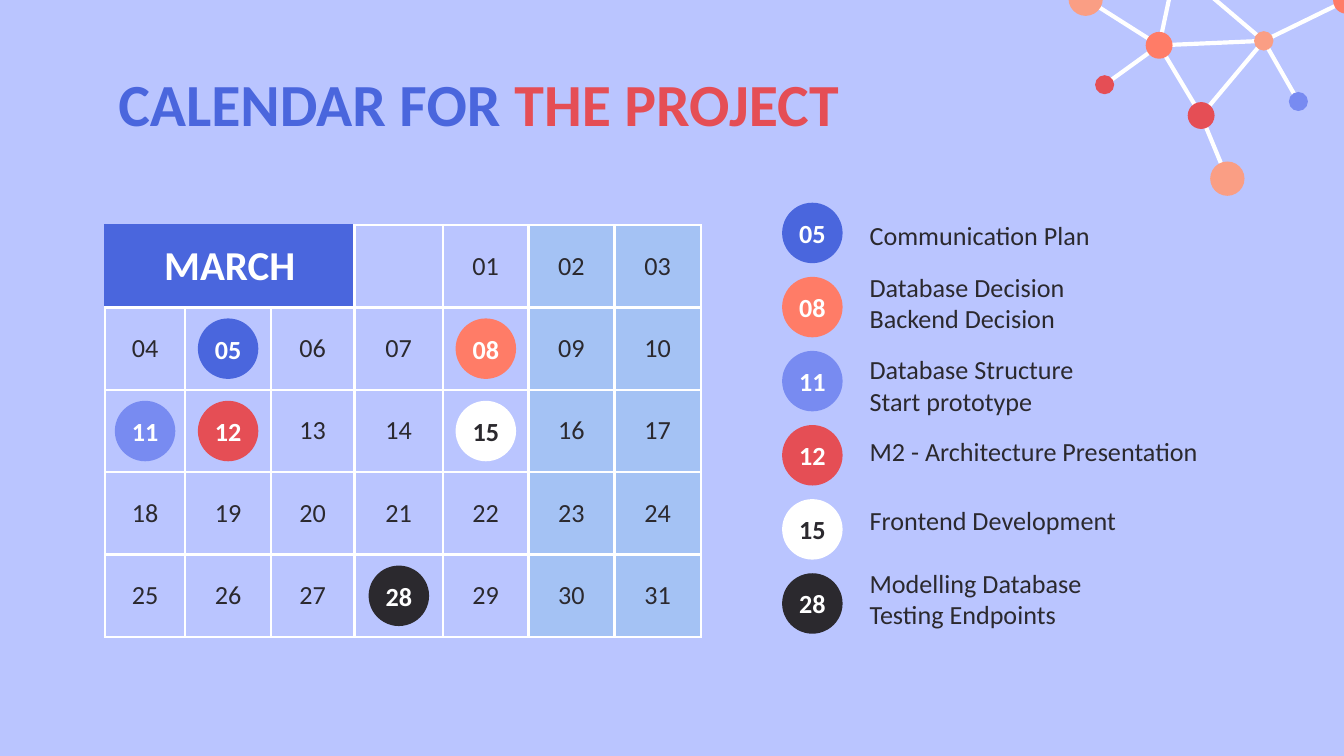
"""Build a March project calendar slide with a milestone legend."""
from itertools import accumulate

from lxml.etree import SubElement
from pptx import Presentation
from pptx.dml.color import RGBColor
from pptx.enum.shapes import MSO_CONNECTOR, MSO_SHAPE
from pptx.enum.text import MSO_ANCHOR, MSO_AUTO_SIZE, PP_ALIGN
from pptx.oxml.ns import qn
from pptx.util import Pt

FONT = "Calibri"
LAVENDER = RGBColor(0xBA, 0xC5, 0xFF)
BLUE = RGBColor(0x4A, 0x66, 0xDD)
PERIWINKLE = RGBColor(0x78, 0x8B, 0xF1)
SKY = RGBColor(0xA4, 0xC2, 0xF4)
RED = RGBColor(0xE5, 0x4E, 0x55)
CORAL = RGBColor(0xFF, 0x7C, 0x67)
PEACH = RGBColor(0xFA, 0x9E, 0x84)
INK = RGBColor(0x2B, 0x29, 0x2E)
WHITE = RGBColor(0xFF, 0xFF, 0xFF)

TITLE = [("CALENDAR FOR", BLUE), (" THE PROJECT", RED)]
MONTH, DAYS, FIRST_COL = "MARCH", 31, 4
MILESTONES = [
    (5, BLUE, WHITE, 117.4, ["Communication Plan"]),
    (8, CORAL, WHITE, 145.4, ["Database Decision", "Backend Decision"]),
    (11, PERIWINKLE, WHITE, 189.4, ["Database Structure", "Start prototype"]),
    (12, RED, WHITE, 233.3, ["M2 - Architecture Presentation"]),
    (15, WHITE, INK, 270, ["Frontend Development"]),
    (28, INK, WHITE, 303.8, ["Modelling Database", "Testing Endpoints"]),
]
NODES = {
    "peak": (630, -18, 0, None),
    "low": (643.5, 61.9, 14.4, RED),
    "far": (721.4, 0.2, 14.4, CORAL),
    "hub": (621, 24.3, 14.4, CORAL),
    "left": (581.6, -0.7, 18.4, PEACH),
    "bottom": (657.5, 95.7, 18.4, PEACH),
    "tip": (591.8, 45.4, 10.2, RED),
    "blue": (695.6, 54.4, 10.2, PERIWINKLE),
    "right": (677, 21.9, 10.4, PEACH),
}
EDGES = [("peak", "hub"), ("tip", "hub"), ("hub", "low"), ("low", "right"),
         ("hub", "right"), ("peak", "right"), ("right", "far"),
         ("low", "bottom"), ("left", "hub"), ("right", "blue")]

TABLE_X, TABLE_Y, ROW_H = 56.25, 120.6, 44.13
COL_W = [42.9, 46.1, 44.7, 47.4, 45.8, 46.1, 46.3]
COL_X = [TABLE_X, *accumulate(COL_W, initial=TABLE_X)][1:]
ROWS, COLS, WEEKEND = 5, len(COL_W), 5
BADGE, LEGEND_X, LEGEND_Y, LEGEND_STEP = 32.4, 435.2, 124.8, 39.7


def add_run(p, text, size, color, bold=False):
    r = p.add_run()
    r.text = text
    r.font.name, r.font.size, r.font.bold = FONT, Pt(size), bold
    r.font.color.rgb = color


def add_circle(s, x, y, d, color):
    sp = s.shapes.add_shape(MSO_SHAPE.OVAL, Pt(x - d / 2), Pt(y - d / 2), Pt(d), Pt(d))
    sp.shadow.inherit = False
    sp.fill.solid()
    sp.fill.fore_color.rgb = color
    sp.line.fill.background()
    return sp


def add_badge(s, x, y, day, color, ink):
    tf = add_circle(s, x, y, BADGE, color).text_frame
    tf.margin_left = tf.margin_top = tf.margin_right = tf.margin_bottom = 0
    tf.vertical_anchor = MSO_ANCHOR.MIDDLE
    p = tf.paragraphs[0]
    p.alignment = PP_ALIGN.CENTER
    add_run(p, f"{day:02d}", 14, ink, True)


def add_network(s):
    for start, end in EDGES:
        points = [Pt(v) for v in NODES[start][:2] + NODES[end][:2]]
        line = s.shapes.add_connector(MSO_CONNECTOR.STRAIGHT, *points)
        line.line.color.rgb = WHITE
        line.line.width = Pt(2.25)
        SubElement(line._element.spPr, qn("a:effectLst"))
    for x, y, d, color in NODES.values():
        if d:
            add_circle(s, x, y, d, color)


def set_borders(cell, **colors):
    tc_pr = cell._tc.get_or_add_tcPr()
    for i, side in enumerate("LRTB"):
        ln = SubElement(tc_pr, qn(f"a:ln{side}"), w=str(Pt(1.5)))
        tc_pr.insert(i, ln)
        fill = SubElement(ln, qn("a:solidFill"))
        SubElement(fill, qn("a:srgbClr"), val=str(colors.get(side, WHITE)))


def fill_cell(cell, text, size, color, bold=False):
    cell.vertical_anchor = MSO_ANCHOR.MIDDLE
    cell.margin_left = cell.margin_right = cell.margin_top = cell.margin_bottom = Pt(7.2)
    p = cell.text_frame.paragraphs[0]
    p.alignment = PP_ALIGN.CENTER
    add_run(p, text, size, color, bold)


def add_calendar(s):
    table = s.shapes.add_table(ROWS, COLS, Pt(TABLE_X), Pt(TABLE_Y),
                               Pt(sum(COL_W)), Pt(ROW_H * ROWS)).table
    table.first_row = table.horz_banding = False
    for col, width in zip(table.columns, COL_W):
        col.width = Pt(width)
    for i in range(ROWS * COLS):
        row, col = divmod(i, COLS)
        cell = table.cell(row, col)
        header = row == 0 and col < 3
        if header or col >= WEEKEND:
            cell.fill.solid()
            cell.fill.fore_color.rgb = BLUE if header else SKY
        else:
            cell.fill.background()
        set_borders(cell, **({"L": BLUE, "T": BLUE} if header else {}))
        if i >= FIRST_COL:
            fill_cell(cell, f"{i - FIRST_COL + 1:02d}", 14, INK)
    table.cell(0, 0).merge(table.cell(0, 2))
    fill_cell(table.cell(0, 0), MONTH, 22, WHITE, True)


def add_milestones(s):
    for i, (day, color, ink, top, lines) in enumerate(MILESTONES):
        row, col = divmod(day - 1 + FIRST_COL, COLS)
        add_badge(s, COL_X[col] + COL_W[col] / 2, TABLE_Y + ROW_H * (row + 0.5), day, color, ink)
        add_badge(s, LEGEND_X, LEGEND_Y + LEGEND_STEP * i, day, color, ink)
        tf = s.shapes.add_textbox(Pt(458.8), Pt(top), Pt(227.5), Pt(38.2)).text_frame
        tf.word_wrap = True
        tf.margin_top = tf.margin_bottom = 0
        for n, text in enumerate(lines):
            add_run(tf.add_paragraph() if n else tf.paragraphs[0], text, 14, INK)


def add_title(s):
    title = s.shapes.title
    title.left, title.top, title.width, title.height = Pt(56.2), Pt(28.8), Pt(608.4), Pt(45.4)
    tf = title.text_frame
    tf.auto_size = MSO_AUTO_SIZE.NONE
    tf.vertical_anchor = MSO_ANCHOR.TOP
    tf.margin_left = tf.margin_right = tf.margin_top = tf.margin_bottom = Pt(7.2)
    p = tf.paragraphs[0]
    p.alignment = PP_ALIGN.LEFT
    for text, color in TITLE:
        add_run(p, text, 32, color, True)


def main():
    prs = Presentation()
    prs.slide_width, prs.slide_height = Pt(720), Pt(405)
    s = prs.slides.add_slide(prs.slide_layouts[5])
    s.background.fill.solid()
    s.background.fill.fore_color.rgb = LAVENDER
    add_network(s)
    add_title(s)
    add_calendar(s)
    add_milestones(s)
    prs.save("out.pptx")


if __name__ == "__main__":
    main()
